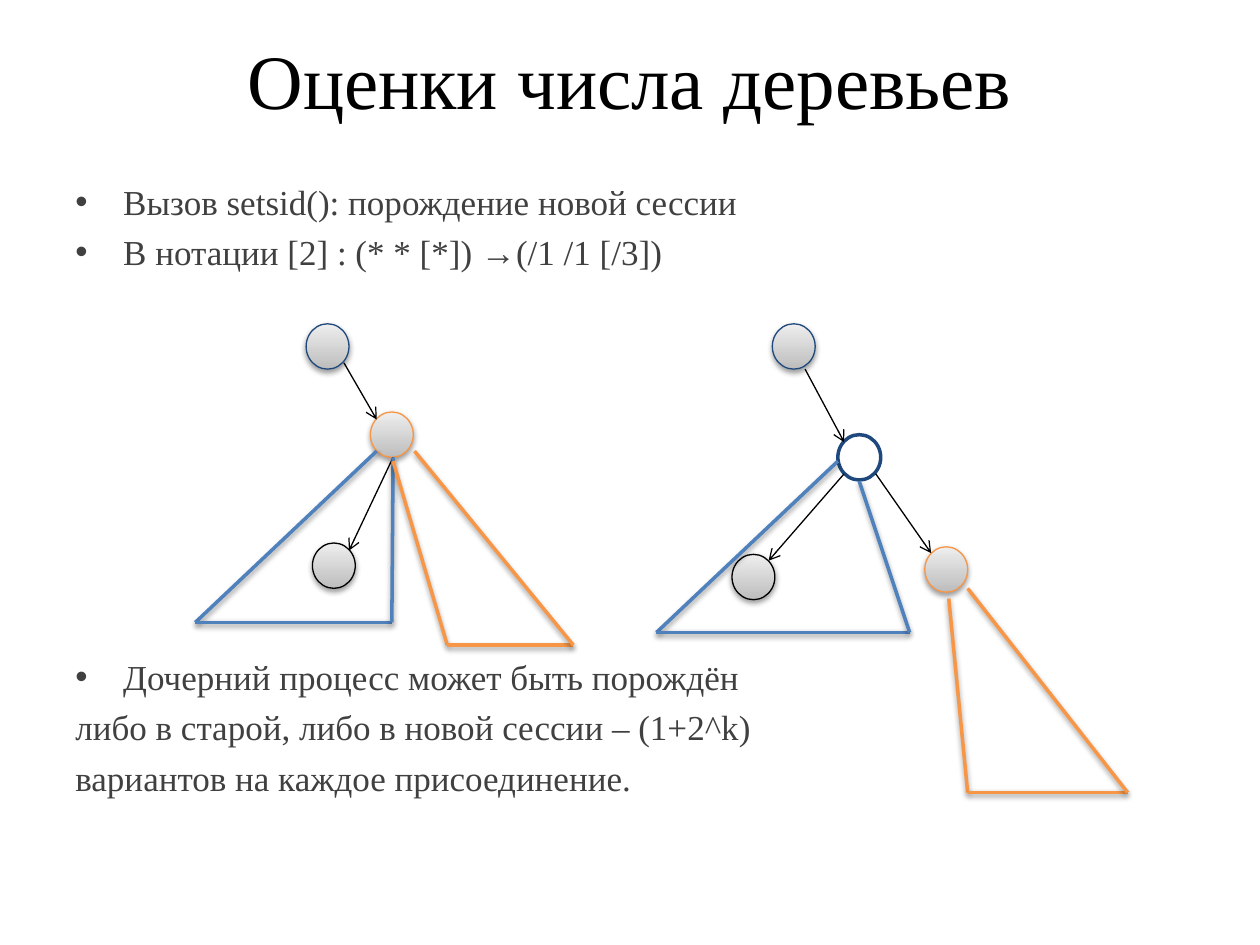
"""Build a slide on process trees before and after a new session."""
from itertools import pairwise
from typing import NamedTuple

from lxml.etree import SubElement
from pptx import Presentation
from pptx.dml.color import RGBColor
from pptx.enum.shapes import MSO_CONNECTOR, MSO_SHAPE
from pptx.enum.text import MSO_ANCHOR, PP_ALIGN
from pptx.oxml import parse_xml
from pptx.oxml.ns import nsdecls, qn
from pptx.util import Inches, Pt

BLACK = RGBColor(0x00, 0x00, 0x00)
WHITE = RGBColor(0xFF, 0xFF, 0xFF)
GRAY = RGBColor(0x40, 0x40, 0x40)
DARK = RGBColor(0xBD, 0xBD, 0xBD)
LIGHT = RGBColor(0xEE, 0xEE, 0xEE)
NAVY = RGBColor(0x1F, 0x49, 0x7D)
BLUE = RGBColor(0x4F, 0x81, 0xBD)
ORANGE = RGBColor(0xF7, 0x96, 0x46)
FONT = "Times New Roman"
WIDE, TALL = 0.34, 0.36
INDENT = Inches(0.38)

Point = tuple[float, float]


class Node(NamedTuple):
    left: float
    top: float
    color: RGBColor
    hollow: bool = False


class Arrow(NamedTuple):
    start: Point
    end: Point


class Wedge(NamedTuple):
    color: RGBColor
    points: tuple[Point, ...]


NODES = (
    Node(2.43, 2.57, NAVY),
    Node(2.94, 3.27, ORANGE),
    Node(2.48, 4.31, BLACK),
    Node(6.13, 2.57, NAVY),
    Node(6.65, 3.45, NAVY, hollow=True),
    Node(7.34, 4.34, ORANGE),
    Node(5.81, 4.4, BLACK),
)
ARROWS = (
    Arrow((2.73, 2.88), (2.99, 3.33)),
    Arrow((3.12, 3.63), (2.77, 4.37)),
    Arrow((6.39, 2.93), (6.7, 3.51)),
    Arrow((6.95, 3.76), (7.39, 4.39)),
    Arrow((6.7, 3.76), (6.1, 4.45)),
)
WEDGES = (
    Wedge(BLUE, ((2.99, 3.58), (1.55, 4.94), (3.11, 4.94), (3.12, 3.63))),
    Wedge(BLUE, ((6.65, 3.66), (5.21, 5.02), (7.22, 5.02), (6.82, 3.82))),
    Wedge(ORANGE, ((3.12, 3.66), (3.55, 5.12), (4.55, 5.12), (3.29, 3.58))),
    Wedge(ORANGE, ((7.53, 4.75), (7.68, 6.29), (8.95, 6.29), (7.68, 4.67))),
)


def add_shade(shape) -> None:
    shape._element.spPr.append(parse_xml(
        f'<a:effectLst {nsdecls("a")}>'
        '<a:outerShdw blurRad="40000" dist="20000" dir="5400000" rotWithShape="0">'
        '<a:srgbClr val="000000"><a:alpha val="38000"/></a:srgbClr>'
        '</a:outerShdw></a:effectLst>'))


def add_text(slide, lines: tuple[str, ...], top: float, height: float, *,
             size: int = 20, color: RGBColor = GRAY, bullets: int = 0,
             align=PP_ALIGN.LEFT, anchor=MSO_ANCHOR.TOP) -> None:
    box = slide.shapes.add_textbox(Inches(0.5), Inches(top), Inches(9), Inches(height))
    frame = box.text_frame
    frame.word_wrap = True
    frame.vertical_anchor = anchor
    for index, line in enumerate(lines):
        para = frame.add_paragraph() if index else frame.paragraphs[0]
        para.text = line
        para.alignment = align
        para.space_before = Pt(5 if index else 0)
        if index < bullets:
            props = para._p.get_or_add_pPr()
            props.set("marL", str(INDENT))
            props.set("indent", str(-INDENT))
            SubElement(props, qn("a:buFont"), typeface="Arial")
            SubElement(props, qn("a:buChar"), char="•")
        font = para.runs[0].font
        font.name = FONT
        font.size = Pt(size)
        font.color.rgb = color


def add_node(slide, node: Node) -> None:
    shape = slide.shapes.add_shape(MSO_SHAPE.OVAL, Inches(node.left), Inches(node.top),
                                   Inches(WIDE), Inches(TALL))
    shape.line.color.rgb = node.color
    shape.line.width = Pt(2 if node.hollow else 0.75)
    if node.hollow:
        shape.shadow.inherit = False
        shape.fill.solid()
        shape.fill.fore_color.rgb = WHITE
        return
    shape.fill.gradient()
    shape.fill.gradient_angle = 90
    for stop, place, color in zip(shape.fill.gradient_stops, (0, 1), (DARK, LIGHT)):
        stop.position = place
        stop.color.rgb = color
    add_shade(shape)


def add_line(slide, start: Point, end: Point, color: RGBColor, width: float):
    line = slide.shapes.add_connector(MSO_CONNECTOR.STRAIGHT,
                                      *map(Inches, (*start, *end)))
    line.line.color.rgb = color
    line.line.width = Pt(width)
    return line


def add_arrow(slide, arrow: Arrow) -> None:
    line = add_line(slide, arrow.start, arrow.end, BLACK, 0.75)
    SubElement(line.line._get_or_add_ln(), qn("a:tailEnd"), type="arrow")
    SubElement(line._element.spPr, qn("a:effectLst"))


def add_wedge(slide, wedge: Wedge) -> None:
    for start, end in pairwise(wedge.points):
        add_shade(add_line(slide, start, end, wedge.color, 2))


def main() -> None:
    deck = Presentation()
    deck.slide_width, deck.slide_height = Inches(10), Inches(7.5)
    slide = deck.slides.add_slide(deck.slide_layouts[6])
    add_text(slide, ("Оценки числа деревьев",), 0, 1.25, size=44, color=BLACK,
             align=PP_ALIGN.CENTER, anchor=MSO_ANCHOR.MIDDLE)
    add_text(slide, ("Вызов setsid(): порождение новой сессии",
                     "В нотации [2] : (* * [*]) →(/1 /1 [/3])"), 1.38, 0.9, bullets=2)
    add_text(slide, ("Дочерний процесс может быть порождён",
                     "либо в старой, либо в новой сессии – (1+2^k)",
                     "вариантов на каждое присоединение."), 5.15, 1.3, bullets=1)
    for node in NODES:
        add_node(slide, node)
    for arrow in ARROWS:
        add_arrow(slide, arrow)
    for wedge in WEDGES:
        add_wedge(slide, wedge)
    deck.save("out.pptx")


if __name__ == "__main__":
    main()
